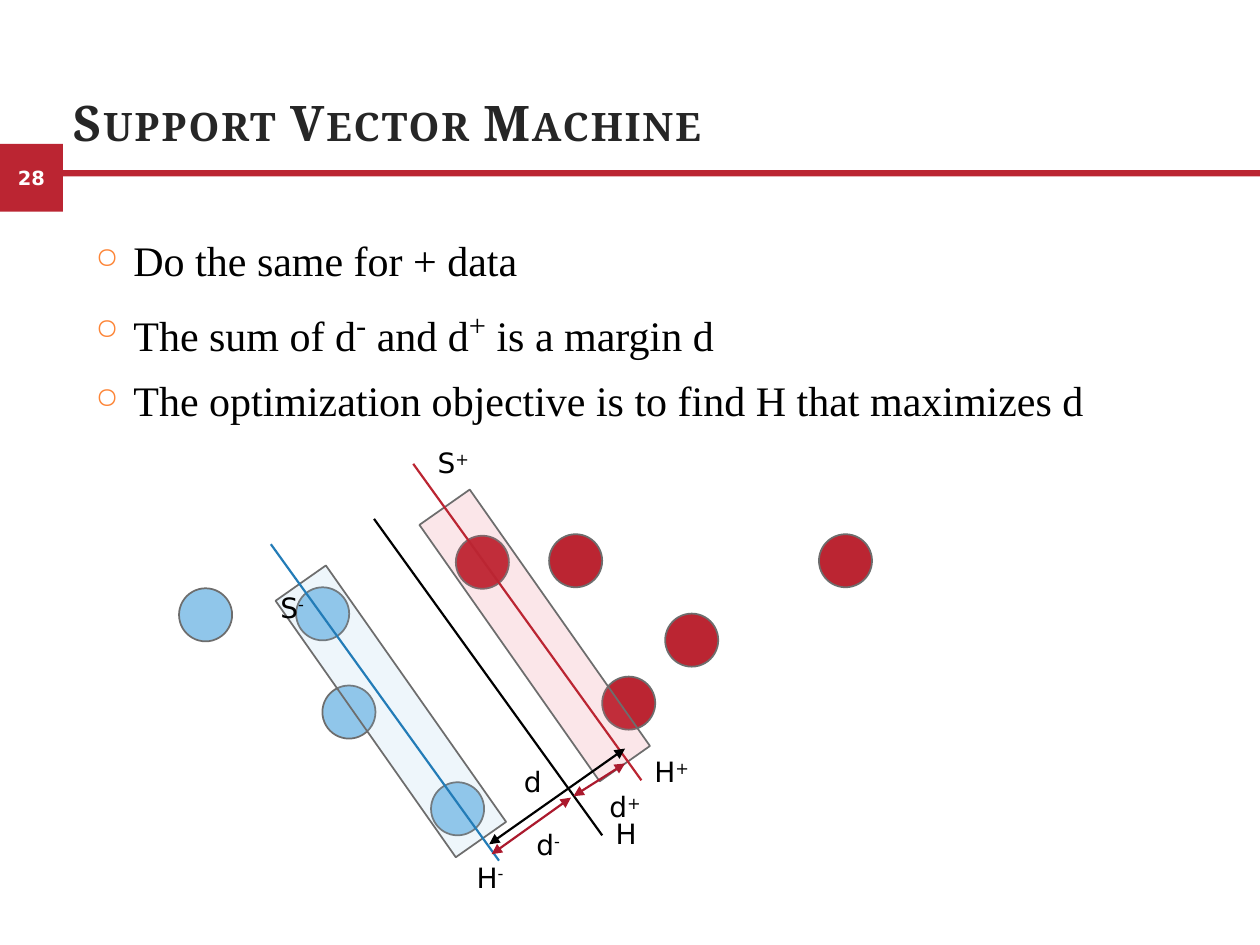
"""Build the slide on the margin of a support vector machine."""
from lxml.etree import SubElement
from pptx import Presentation
from pptx.dml.color import RGBColor
from pptx.enum.shapes import MSO_CONNECTOR, MSO_SHAPE
from pptx.enum.text import MSO_ANCHOR, PP_ALIGN
from pptx.oxml.ns import qn
from pptx.util import Cm, Pt

RED = RGBColor(0xBB, 0x25, 0x32)
DARK_RED = RGBColor(0xAB, 0x19, 0x2D)
PINK = RGBColor(0xE7, 0x5B, 0x6E)
LIGHT_BLUE = RGBColor(0x90, 0xC6, 0xEA)
BLUE = RGBColor(0x23, 0x7C, 0xB7)
GRAY = RGBColor(0x6D, 0x6D, 0x6D)
CHARCOAL = RGBColor(0x26, 0x26, 0x26)
BLACK = RGBColor(0, 0, 0)
WHITE = RGBColor(0xFF, 0xFF, 0xFF)

deck = Presentation()
deck.slide_width, deck.slide_height = Cm(25.4), Cm(19.05)
slide = deck.slides.add_slide(deck.slide_layouts[6])
shapes = slide.shapes


def add_text(paragraph, marked, font_name, size, color, raised_size):
    """Write text in which every second part between carets is raised."""
    for index, part in enumerate(marked.split("^")):
        if part:
            run = paragraph.add_run()
            run.text = part
            if index % 2:
                run.font.size = Pt(raised_size)
                run.font._element.set("baseline", "30000")
    font = paragraph.font
    font.name, font.size, font.color.rgb = font_name, Pt(size), color
    return font


def add_line(start, end, color, arrows=False):
    """Draw a straight line, with arrowheads at both ends on request."""
    line = shapes.add_connector(MSO_CONNECTOR.STRAIGHT, *map(Cm, start + end))
    line.line.color.rgb, line.line.width = color, Pt(1.25)
    if arrows:
        for end_tag in ("a:headEnd", "a:tailEnd"):
            SubElement(line.line._get_or_add_ln(), qn(end_tag), type="triangle")
    SubElement(line._element.spPr, qn("a:effectLst"))


for left, top, width, height in [(0, 2.9, 1.27, 1.37), (1.27, 3.43, 24.13, 0.13)]:
    bar = shapes.add_shape(MSO_SHAPE.RECTANGLE, *map(Cm, (left, top, width, height)))
    bar.shadow.inherit = False
    bar.fill.solid()
    bar.fill.fore_color.rgb = RED
    bar.line.fill.background()
    if left == 0:
        bar.text_frame.vertical_anchor = MSO_ANCHOR.MIDDLE
        bar.text_frame.margin_left = bar.text_frame.margin_right = 0
        number = bar.text_frame.paragraphs[0]
        number.alignment = PP_ALIGN.CENTER
        add_text(number, "28", "DejaVu Sans", 11.1, WHITE, 11.1).bold = True

title = shapes.add_textbox(Cm(1.47), Cm(1.83), Cm(23.93), Cm(1.22)).text_frame
bullets = shapes.add_textbox(Cm(1.9), Cm(4.5), Cm(22.63), Cm(3.68)).text_frame
for frame in (title, bullets):
    frame.word_wrap = True
    frame.margin_left = frame.margin_right = frame.margin_bottom = 0
    frame.margin_top = Cm(0.03)

title.vertical_anchor = MSO_ANCHOR.BOTTOM
heading = title.paragraphs[0]
heading.space_before = Pt(0.9)
heading_font = add_text(heading, "Support Vector Machine", "Noto Serif", 28, CHARCOAL, 28)
heading_font.bold = True
for properties in (heading_font._element, heading.runs[0].font._element):
    properties.set("cap", "small")
    properties.set("spc", "110")

points = [
    "Do the same for + data",
    "The sum of d^-^ and d^+^ is a margin d",
    "The optimization objective is to find H that maximizes d",
]
for index, point in enumerate(points):
    paragraph = bullets.add_paragraph() if index else bullets.paragraphs[0]
    paragraph.line_spacing, paragraph.space_before = 1.2, Pt(1)
    layout = paragraph._p.get_or_add_pPr()
    layout.set("marL", str(Cm(0.79)))
    layout.set("indent", str(-Cm(0.76)))
    bullet_color = SubElement(layout, qn("a:buClr"))
    SubElement(bullet_color, qn("a:srgbClr"), val="FD8537")
    SubElement(layout, qn("a:buSzPct"), val="69000")
    SubElement(layout, qn("a:buChar"), char="○")
    add_text(paragraph, point, "Times New Roman", 24, BLACK, 30)

negatives = [(3.61, 11.86), (6.5, 13.82), (5.97, 11.84), (8.69, 15.77)]
positives = [(11.07, 10.77), (12.14, 13.64), (9.19, 10.8), (16.51, 10.77), (13.41, 12.37)]
bands = [((7.26, 11.18), LIGHT_BLUE), ((10.16, 9.65), PINK)]
figures = [(MSO_SHAPE.OVAL, spot, (1.07, 1.07), LIGHT_BLUE) for spot in negatives]
figures += [(MSO_SHAPE.OVAL, spot, (1.07, 1.07), RED) for spot in positives]
figures += [(MSO_SHAPE.RECTANGLE, spot, (1.24, 6.32), color) for spot, color in bands]
for kind, spot, size, color in figures:
    figure = shapes.add_shape(kind, *map(Cm, spot + size))
    figure.shadow.inherit = False
    figure.fill.solid()
    figure.fill.fore_color.rgb = color
    figure.line.color.rgb, figure.line.width = GRAY, Pt(1)
    if kind == MSO_SHAPE.RECTANGLE:
        figure.rotation = 324.9
        tint = figure._element.spPr.find(qn("a:solidFill"))[0]
        SubElement(tint, qn("a:alpha"), val="15000")

for (x, y), color in [((7.54, 10.46), BLACK), ((5.46, 10.97), BLUE), ((8.33, 9.35), RED)]:
    add_line((x, y), (x + 4.6, y + 6.38), color)

distances = [
    ((9.91, 17.22), (11.51, 16.08), DARK_RED),
    ((11.56, 16.05), (12.6, 15.39), DARK_RED),
    ((9.86, 17.02), (12.6, 15.09), BLACK),
]
for start, end, color in distances:
    add_line(start, end, color, arrows=True)

labels = [
    ("H", 11.68, 16.33),
    ("H^-", 8.94, 17.22),
    ("d^-", 10.11, 16.56),
    ("S^+", 8.2, 8.86),
    ("d^+", 11.66, 15.8),
    ("S^-", 4.95, 11.79),
    ("H^+", 12.6, 15.09),
    ("d", 9.8, 15.29),
]
for symbol, left, top in labels:
    label = shapes.add_textbox(Cm(left), Cm(top), Cm(1.88), Cm(0.89)).text_frame
    label.word_wrap = False
    label.paragraphs[0].alignment = PP_ALIGN.CENTER
    add_text(label.paragraphs[0], symbol, "DejaVu Sans", 16, BLACK, 16)

deck.save("out.pptx")
